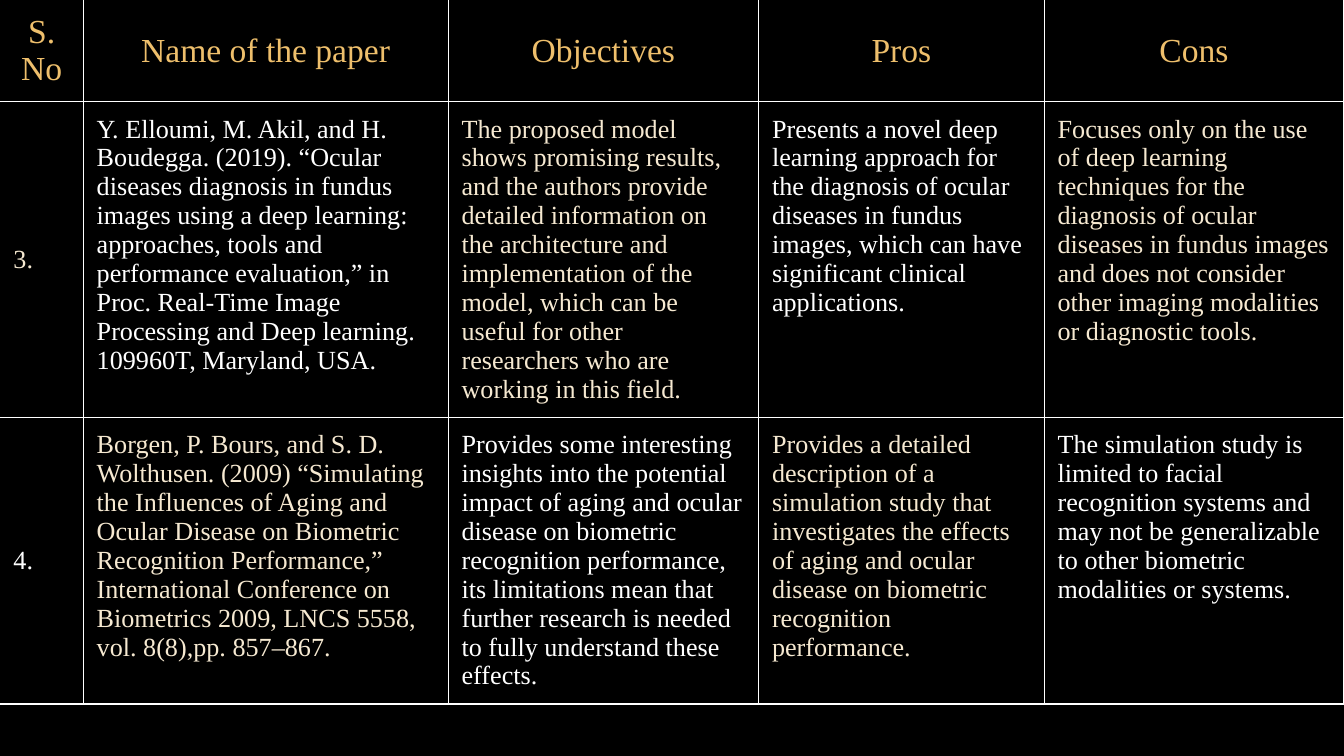
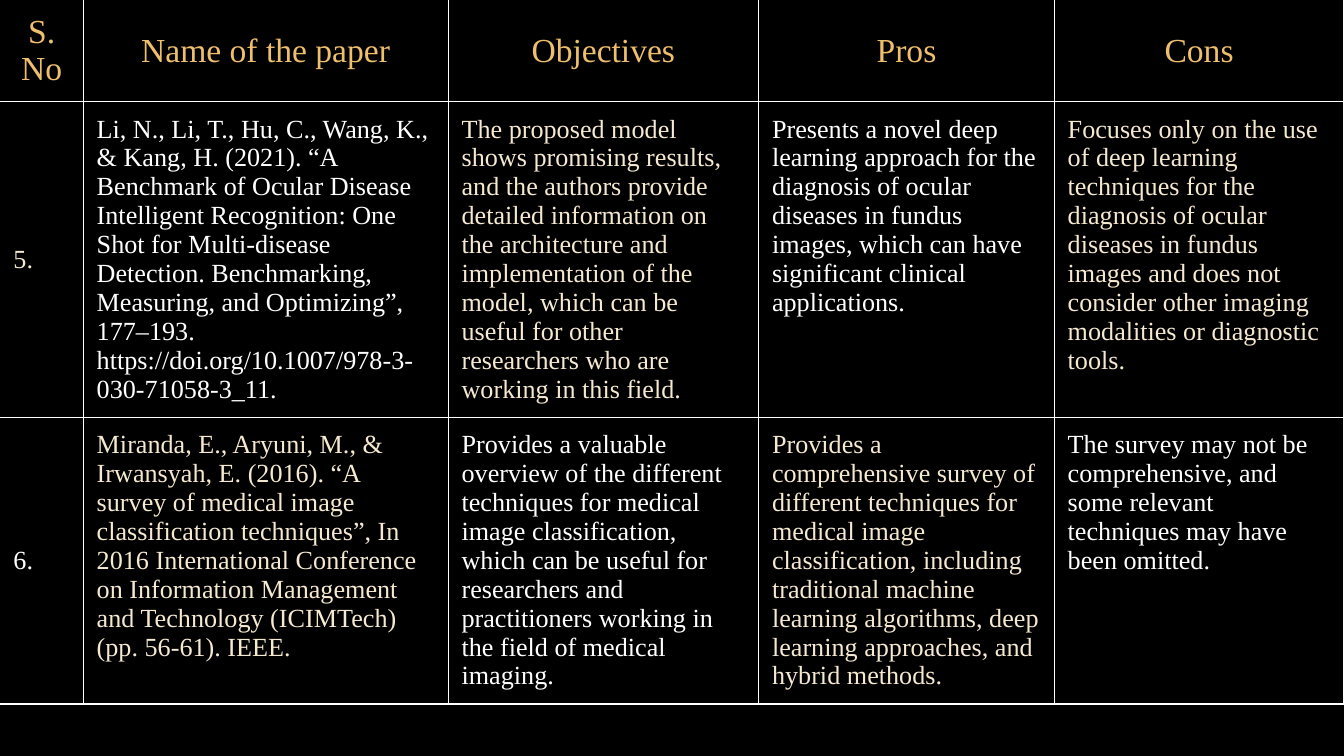
from lxml import etree
from pptx import Presentation
from pptx.dml.color import RGBColor
from pptx.enum.text import MSO_ANCHOR, PP_ALIGN
from pptx.oxml.ns import qn
from pptx.util import Emu, Pt

CENTER, JUSTIFY, LEFT = PP_ALIGN.CENTER, PP_ALIGN.JUSTIFY, PP_ALIGN.LEFT
TOP, MIDDLE = MSO_ANCHOR.TOP, MSO_ANCHOR.MIDDLE

EMU_PER_PX = 4572
SLIDE_WIDTH, SLIDE_HEIGHT = 2000, 1125
CELL_MARGIN = 20
ROW_HEIGHTS = [150, 470, 426]
BLACK, WHITE, CREAM, GOLD = "000000", "FFFFFF", "F6E9D1", "EEBF6C"
FONT = "Times New Roman"

HEADINGS = ["S. No", "Name of the paper", "Objectives", "Pros", "Cons"]
DIAGNOSIS_REVIEW = [
    "The proposed model shows promising results, and the authors provide detailed information on "
    "the architecture and implementation of the model, which can be useful for other researchers "
    "who are working in this field.",
    "Presents a novel deep learning approach for the diagnosis of ocular diseases in fundus images, "
    "which can have significant clinical applications.",
    "Focuses only on the use of deep learning techniques for the diagnosis of ocular diseases in "
    "fundus images and does not consider other imaging modalities or diagnostic tools.",
]
SURVEYS = [
    ([124, 543, 462, 425, 446], [
        ["3.",
         "Y. Elloumi, M. Akil, and H. Boudegga. (2019). “Ocular diseases diagnosis in fundus images "
         "using a deep learning: approaches, tools and performance evaluation,” in Proc. Real-Time "
         "Image Processing and Deep learning. 109960T, Maryland, USA.",
         *DIAGNOSIS_REVIEW],
        ["4.",
         "Borgen, P. Bours, and S. D. Wolthusen. (2009) “Simulating the Influences of Aging and "
         "Ocular Disease on Biometric Recognition Performance,” International Conference on "
         "Biometrics 2009, LNCS 5558, vol. 8(8),pp. 857–867.",
         "Provides some interesting insights into the potential impact of aging and ocular disease "
         "on biometric recognition performance, its limitations mean that further research is "
         "needed to fully understand these effects.",
         "Provides a detailed description of a simulation study that investigates the effects of "
         "aging and ocular disease on biometric recognition performance.",
         "The simulation study is limited to facial recognition systems and may not be "
         "generalizable to other biometric modalities or systems."],
    ]),
    ([124, 543, 462, 440, 431], [
        ["5.",
         "Li, N., Li, T., Hu, C., Wang, K., & Kang, H. (2021). “A Benchmark of Ocular Disease "
         "Intelligent Recognition: One Shot for Multi-disease Detection. Benchmarking, Measuring, "
         "and Optimizing”, 177–193. https://doi.org/10.1007/978-3-030-71058-3_11.",
         *DIAGNOSIS_REVIEW],
        ["6.",
         "Miranda, E., Aryuni, M., & Irwansyah, E. (2016). “A survey of medical image "
         "classification techniques”, In 2016 International Conference on Information Management "
         "and Technology (ICIMTech) (pp. 56-61). IEEE.",
         "Provides a valuable overview of the different techniques for medical image "
         "classification, which can be useful for researchers and practitioners working in the "
         "field of medical imaging.",
         "Provides a comprehensive survey of different techniques for medical image "
         "classification, including traditional machine learning algorithms, deep learning "
         "approaches, and hybrid methods.",
         "The survey may not be comprehensive, and some relevant techniques may have been omitted."],
    ]),
]


def px(length):
    return Emu(length * EMU_PER_PX)


def color(value):
    return RGBColor.from_string(value)


class SurveyDeck:
    def __init__(self):
        self.deck = Presentation()
        self.deck.slide_width = px(SLIDE_WIDTH)
        self.deck.slide_height = px(SLIDE_HEIGHT)
        self.page = None

    def add_page(self):
        self.page = self.deck.slides.add_slide(self.deck.slide_layouts[6])
        background = self.page.background.fill
        background.solid()
        background.fore_color.rgb = color(BLACK)

    def add_border(self, cell, side, line_color, width):
        properties = cell._tc.get_or_add_tcPr()
        line = etree.SubElement(properties, qn(f"a:ln{side}"), w=str(Pt(width)))
        fill = etree.SubElement(line, qn("a:solidFill"))
        etree.SubElement(fill, qn("a:srgbClr"), val=line_color)

    def add_cell(self, cell, text, row, column):
        outer_sides = {"L": column == 0, "T": row == 0}
        for side in "LRTB":
            if outer_sides.get(side):
                self.add_border(cell, side, BLACK, 2.25)
            else:
                self.add_border(cell, side, WHITE, 0.75)
        cell.fill.background()
        cell.margin_left = cell.margin_right = px(CELL_MARGIN)
        cell.margin_top = cell.margin_bottom = px(CELL_MARGIN)
        cell.vertical_anchor = MIDDLE if row == 0 or column == 0 else TOP
        para = cell.text_frame.paragraphs[0]
        span = para.add_run()
        span.text = text
        span.font.name = FONT
        span.font.bold = False
        if row == 0:
            para.alignment = CENTER
            span.font.size = Pt(18)
            span.font.color.rgb = color(GOLD)
        else:
            para.alignment = JUSTIFY if column == 0 else LEFT
            span.font.size = Pt(14)
            span.font.color.rgb = color(CREAM if (row + column) % 2 else WHITE)

    def add_survey_table(self, column_widths, papers):
        rows = [HEADINGS, *papers]
        frame = self.page.shapes.add_table(
            len(rows), len(HEADINGS), 0, 0, px(SLIDE_WIDTH), px(sum(ROW_HEIGHTS)))
        table = frame.table
        table.first_row = table.horz_banding = False
        for column, width in zip(table.columns, column_widths):
            column.width = px(width)
        for row, height in zip(table.rows, ROW_HEIGHTS):
            row.height = px(height)
        for row, texts in enumerate(rows):
            for column, text in enumerate(texts):
                self.add_cell(table.cell(row, column), text, row, column)


def main():
    survey = SurveyDeck()
    for column_widths, papers in SURVEYS:
        survey.add_page()
        survey.add_survey_table(column_widths, papers)
    survey.deck.save("out.pptx")


if __name__ == "__main__":
    main()
